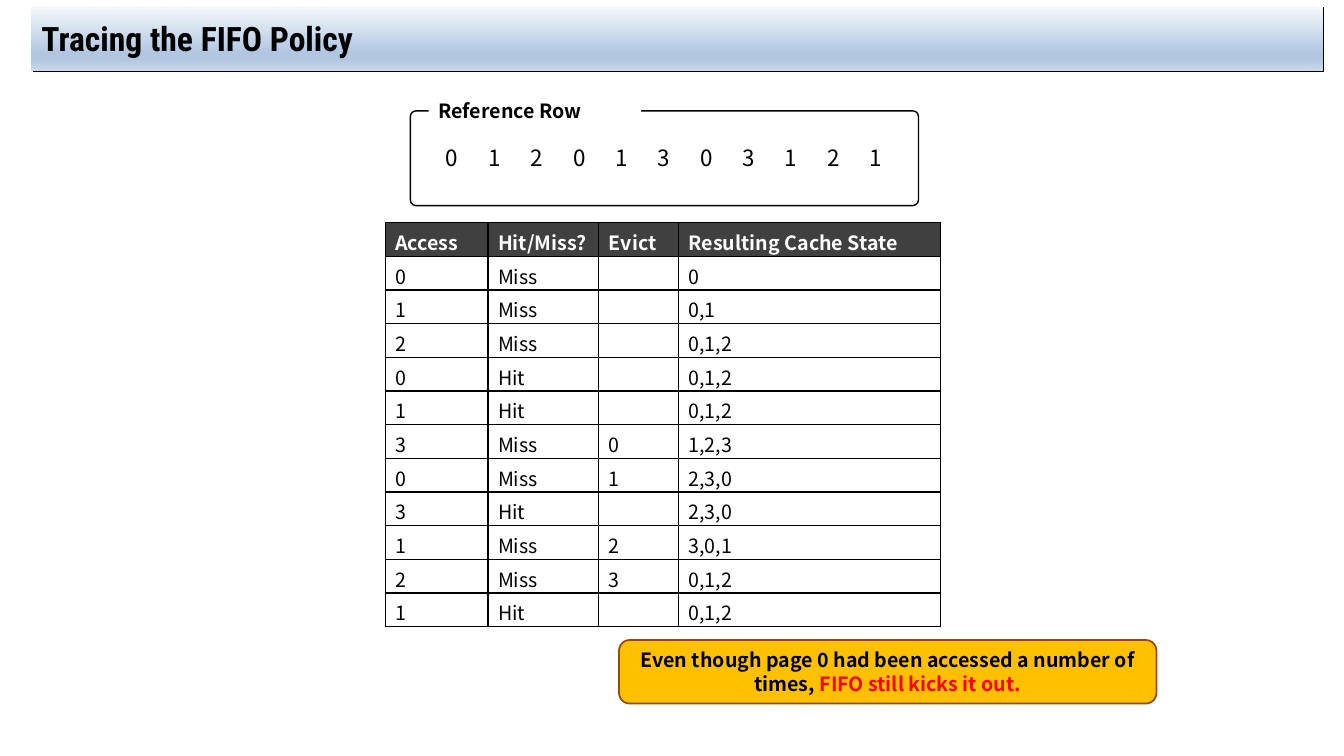
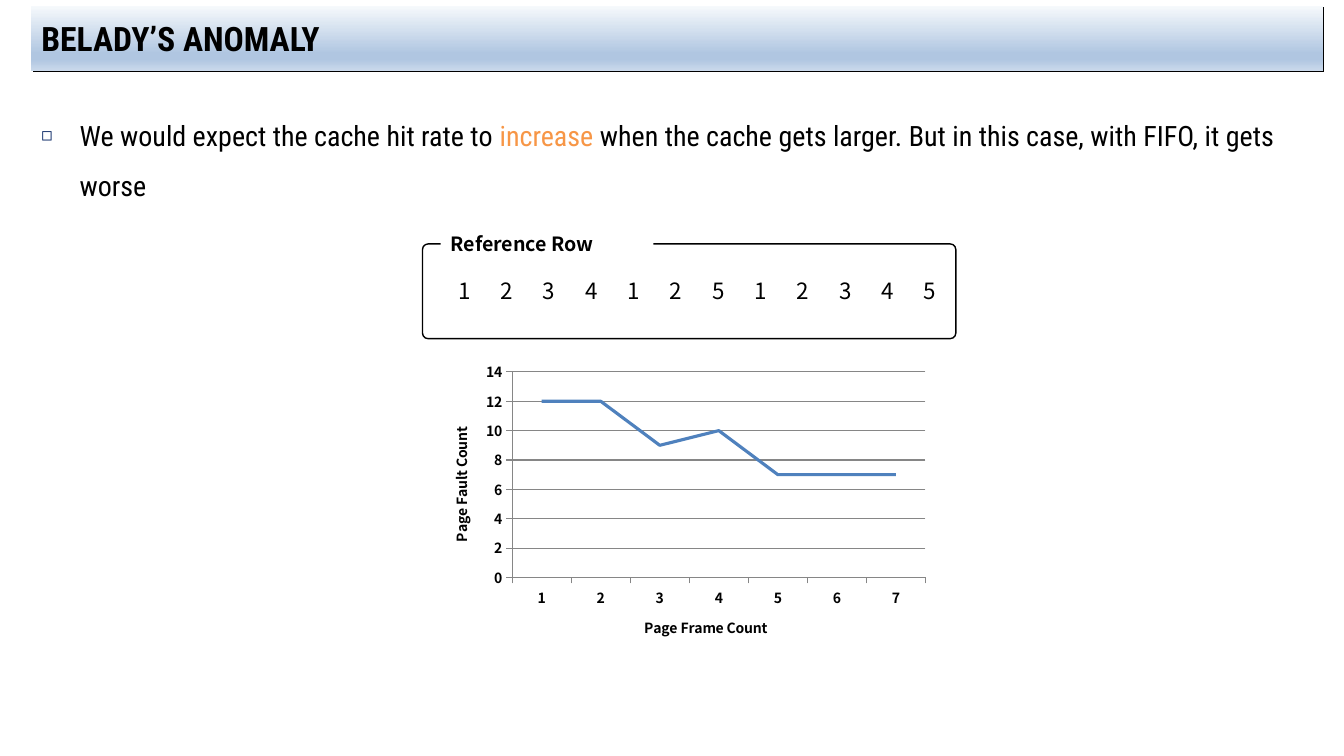
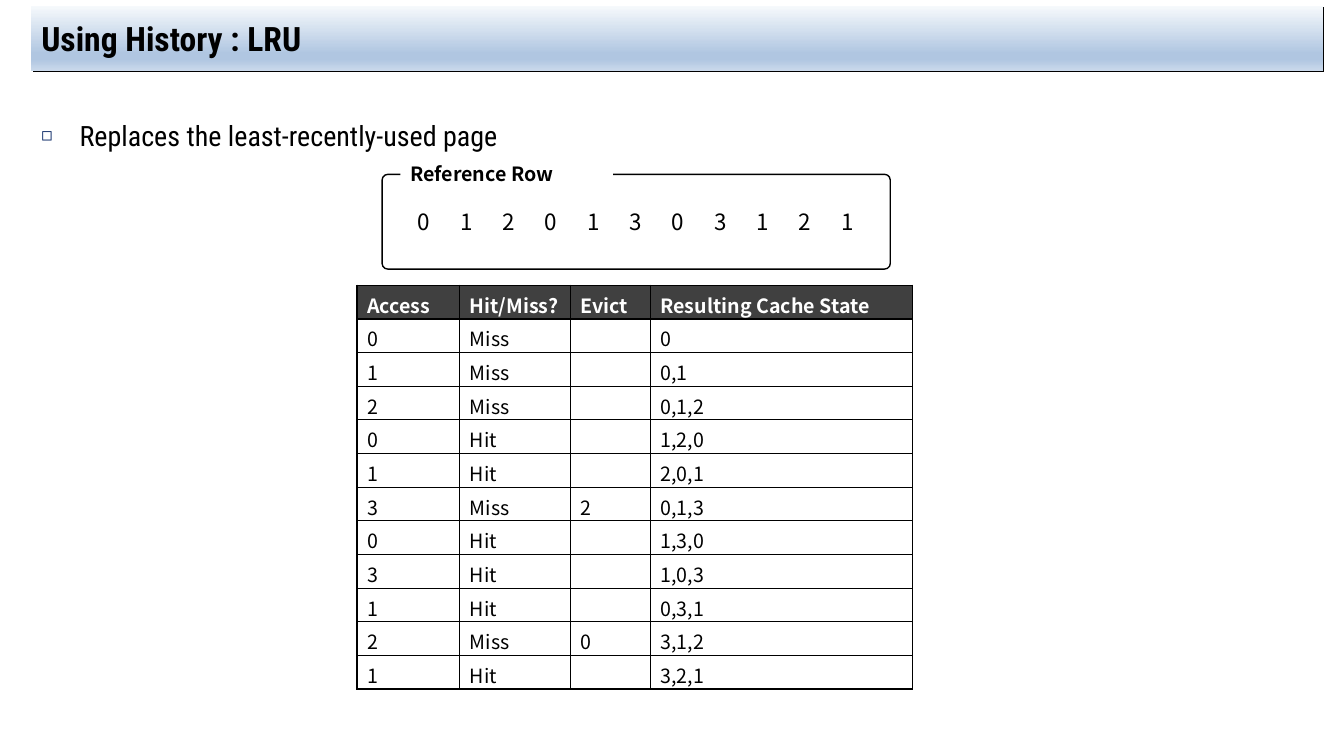
from pptx import Presentation
from pptx import oxml, util as u
from pptx.chart import data
from pptx.dml import color
from pptx.enum import chart as c, shapes as s, text as t
from pptx.oxml import ns

# Scale: 100 px to the inch
PX = 9144
TITLE_FONT, CONTENT_FONT = "Roboto Condensed", "Noto Sans CJK KR"

BLACK = color.RGBColor(0x00, 0x00, 0x00)
WHITE = color.RGBColor(0xFF, 0xFF, 0xFF)
RED = color.RGBColor(0xFF, 0x00, 0x00)
ORANGE = color.RGBColor(0xF7, 0x96, 0x46)
AMBER = color.RGBColor(0xFF, 0xC0, 0x00)
BROWN = color.RGBColor(0x98, 0x48, 0x07)
NAVY = color.RGBColor(0x00, 0x20, 0x60)
BLUE = color.RGBColor(0x4F, 0x81, 0xBD)
GREY = color.RGBColor(0x86, 0x86, 0x86)
HEADER_GREY = color.RGBColor(0x40, 0x40, 0x40)
BAND_TOP = color.RGBColor(0xF6, 0xF9, 0xFC)
BAND_MIDDLE = color.RGBColor(0xB0, 0xC6, 0xE1)
BAND_BOTTOM = color.RGBColor(0xCA, 0xD9, 0xEB)
BAND_STOPS = [(0, BAND_TOP), (74, BAND_MIDDLE), (83, BAND_MIDDLE), (100, BAND_BOTTOM)]

# Slide content
HEADERS = ["Access", "Hit/Miss?", "Evict", "Resulting Cache State"]
COLUMN_WIDTHS = [102, 110, 79, 260]
ROW_HEIGHT = 33
ACCESSES = "01201303121"
FIFO_ROWS = [
    ("Miss", "", "0"), ("Miss", "", "0,1"), ("Miss", "", "0,1,2"),
    ("Hit", "", "0,1,2"), ("Hit", "", "0,1,2"), ("Miss", "0", "1,2,3"),
    ("Miss", "1", "2,3,0"), ("Hit", "", "2,3,0"), ("Miss", "2", "3,0,1"),
    ("Miss", "3", "0,1,2"), ("Hit", "", "0,1,2"),
]
LRU_ROWS = [
    ("Miss", "", "0"), ("Miss", "", "0,1"), ("Miss", "", "0,1,2"),
    ("Hit", "", "1,2,0"), ("Hit", "", "2,0,1"), ("Miss", "2", "0,1,3"),
    ("Hit", "", "1,3,0"), ("Hit", "", "1,0,3"), ("Hit", "", "0,3,1"),
    ("Miss", "0", "3,1,2"), ("Hit", "", "3,2,1"),
]
FAULT_COUNTS = [12, 12, 9, 10, 7, 7, 7]


def px(*lengths):
    return [u.Emu(length * PX) for length in lengths]


def xml(body):
    """Parse one DrawingML or chart element."""
    tag, rest = body.split(" ", 1)
    return oxml.parse_xml(f"{tag} {ns.nsdecls('a', 'c')} {rest}")


def write(paragraph, segments, size, font=CONTENT_FONT, bold=False):
    """Fill a paragraph with (text, colour) segments."""
    for words, colour in segments:
        run = paragraph.add_run()
        run.text = words
        run.font.size = u.Pt(size)
        run.font.name = font
        run.font.bold = bold
        run.font.color.rgb = colour


def place(shape, left, top, width, height):
    shape.left, shape.top, shape.width, shape.height = px(left, top, width, height)


def set_frame(frame, anchor, side=10):
    frame.word_wrap = True
    frame.auto_size = t.MSO_AUTO_SIZE.NONE
    frame.vertical_anchor = anchor
    frame.margin_left, frame.margin_right = px(side, side)
    frame.margin_top, frame.margin_bottom = px(5, 5)


def add_box(parent, kind, box, fill, line=None, line_width=1):
    shape = parent.add_shape(kind, *px(*box))
    shape.shadow.inherit = False
    shape.fill.solid()
    shape.fill.fore_color.rgb = fill
    if line is None:
        shape.line.fill.background()
    else:
        shape.line.color.rgb = line
        shape.line.width = u.Pt(line_width)
    return shape


# Title band shared by all slides
def add_slide(presentation, title, layout=5):
    slide = presentation.slides.add_slide(presentation.slide_layouts[layout])
    band = slide.shapes.title
    place(band, 31, 6, 1281, 64)
    stops = "".join(f'<a:gs pos="{position * 1000}"><a:srgbClr val="{colour}"/></a:gs>'
                    for position, colour in BAND_STOPS)
    properties = band._element.spPr
    properties.append(xml(f'<a:gradFill rotWithShape="1"><a:gsLst>{stops}</a:gsLst>'
                          '<a:lin ang="5400000" scaled="0"/></a:gradFill>'))
    properties.append(xml('<a:effectLst ><a:outerShdw dist="17961" dir="2700000" '
                          'algn="ctr" rotWithShape="0">'
                          f'<a:srgbClr val="{BLACK}"/></a:outerShdw></a:effectLst>'))
    set_frame(band.text_frame, t.MSO_ANCHOR.MIDDLE)
    paragraph = band.text_frame.paragraphs[0]
    paragraph.alignment = t.PP_ALIGN.LEFT
    write(paragraph, [(title, BLACK)], 24, TITLE_FONT, True)
    return slide


# Bulleted body text
def fill_body(slide, segments):
    body = slide.placeholders[1]
    place(body, 31, 96, 1281, 602)
    set_frame(body.text_frame, t.MSO_ANCHOR.TOP)
    paragraph = body.text_frame.paragraphs[0]
    paragraph.line_spacing = 1.5
    properties = paragraph._p.get_or_add_pPr()
    properties.set("marL", str(38 * PX))
    properties.set("indent", str(-38 * PX))
    for bullet in (f'<a:buClr ><a:srgbClr val="{NAVY}"/></a:buClr>',
                   '<a:buSzPct val="65000"/>', '<a:buChar char="◻"/>'):
        properties.append(xml(bullet))
    write(paragraph, segments, 20, TITLE_FONT)


# Framed row of page references
def add_reference_row(slide, left, top, pages, width=504):
    group = slide.shapes.add_group_shape().shapes
    frame = add_box(group, s.MSO_SHAPE.ROUNDED_RECTANGLE,
                    (left, top, width, 94), WHITE, BLACK)
    frame.adjustments[0] = 0.06
    label = add_box(group, s.MSO_SHAPE.RECTANGLE, (left + 18, top - 17, 211, 34), WHITE)
    set_frame(label.text_frame, t.MSO_ANCHOR.TOP)
    heading = label.text_frame.paragraphs[0]
    heading.alignment = t.PP_ALIGN.LEFT
    write(heading, [("Reference Row", BLACK)], 14, bold=True)
    for index, page in enumerate(pages):
        box = group.add_textbox(*px(left + 18 + 42 * index, top + 28, 47, 37))
        set_frame(box.text_frame, t.MSO_ANCHOR.MIDDLE, 0)
        paragraph = box.text_frame.paragraphs[0]
        paragraph.alignment = t.PP_ALIGN.CENTER
        write(paragraph, [(page, BLACK)], 16)


# Cache trace table
def format_cell(cell, words, is_header):
    cell.margin_top, cell.margin_bottom = px(5, 0)
    paragraph = cell.text_frame.paragraphs[0]
    if words:
        write(paragraph, [(words, WHITE if is_header else BLACK)], 14, bold=is_header)
    else:
        paragraph._p.append(xml('<a:endParaRPr sz="1400">'
                                f'<a:latin typeface="{CONTENT_FONT}"/></a:endParaRPr>'))
    properties = cell._tc.get_or_add_tcPr()
    for side in "LRTB":
        properties.append(xml(f'<a:ln{side} w="12700"><a:solidFill>'
                              f'<a:srgbClr val="{BLACK}"/></a:solidFill></a:ln{side}>'))
    cell.fill.solid()
    cell.fill.fore_color.rgb = HEADER_GREY if is_header else WHITE


def add_trace_table(slide, left, top, results):
    rows = [HEADERS] + [(page, *result) for page, result in zip(ACCESSES, results)]
    size = sum(COLUMN_WIDTHS), ROW_HEIGHT * len(rows)
    table = slide.shapes.add_table(len(rows), len(HEADERS), *px(left, top, *size)).table
    table.horz_banding = False
    for column, width in zip(table.columns, px(*COLUMN_WIDTHS)):
        column.width = width
    for row_index, row in enumerate(rows):
        for column_index, words in enumerate(row):
            format_cell(table.cell(row_index, column_index), words, row_index == 0)


# Highlighted remark
def add_callout(slide, box, segments):
    callout = add_box(slide.shapes, s.MSO_SHAPE.ROUNDED_RECTANGLE, box, AMBER, BROWN, 1.25)
    set_frame(callout.text_frame, t.MSO_ANCHOR.MIDDLE, 12)
    paragraph = callout.text_frame.paragraphs[0]
    paragraph.alignment = t.PP_ALIGN.CENTER
    write(paragraph, segments, 14, bold=True)


# Page fault line chart
def format_axis(axis, title):
    axis.has_title = True
    write(axis.axis_title.text_frame.paragraphs[0], [(title, BLACK)], 10, bold=True)
    axis.major_tick_mark = c.XL_TICK_MARK.OUTSIDE
    axis.minor_tick_mark = c.XL_TICK_MARK.NONE
    axis.format.line.color.rgb = GREY
    axis.format.line.width = u.Pt(0.75)


def add_fault_chart(slide, box):
    chart_data = data.CategoryChartData()
    chart_data.categories = [str(n) for n in range(1, len(FAULT_COUNTS) + 1)]
    chart_data.add_series("Series 1", FAULT_COUNTS)
    chart = slide.shapes.add_chart(c.XL_CHART_TYPE.LINE, *px(*box), chart_data).chart
    chart.has_legend = False
    chart.has_title = False
    chart.font.size = u.Pt(10)
    chart.font.name = CONTENT_FONT
    chart.font.bold = True
    chart.font.color.rgb = BLACK

    plot = chart.plots[0]
    plot.vary_by_categories = False
    line = plot.series[0]
    line.smooth = False
    line.marker.style = c.XL_MARKER_STYLE.NONE
    line.format.line.color.rgb = BLUE
    line.format.line.width = u.Pt(2.25)

    format_axis(chart.category_axis, "Page Frame Count")
    values = chart.value_axis
    format_axis(values, "Page Fault Count")
    values.minimum_scale, values.maximum_scale, values.major_unit = 0, 14, 2
    values.has_major_gridlines = True
    values.major_gridlines.format.line.color.rgb = GREY
    values.major_gridlines.format.line.width = u.Pt(0.75)
    values.axis_title._element.find(".//" + ns.qn("a:bodyPr")).set("rot", "-5400000")

    # Fixed inner plot area
    plot_area = chart._chartSpace.chart.plotArea
    for layout in plot_area.findall(ns.qn("c:layout")):
        plot_area.remove(layout)
    fractions = "".join(f'<c:{name} val="{value}"/>' for name, value in
                        (("x", 0.16), ("y", 0.06), ("w", 0.82), ("h", 0.68)))
    plot_area.insert(0, xml('<c:layout ><c:manualLayout><c:layoutTarget val="inner"/>'
                            '<c:xMode val="edge"/><c:yMode val="edge"/>'
                            f'{fractions}</c:manualLayout></c:layout>'))


def main():
    presentation = Presentation()
    presentation.slide_width, presentation.slide_height = px(1333, 750)

    fifo = add_slide(presentation, "Tracing the FIFO Policy")
    add_reference_row(fifo, 407, 110, ACCESSES)
    add_trace_table(fifo, 382, 221, FIFO_ROWS)
    add_callout(fifo, (614, 635, 533, 63), [
        ("Even though page 0 had been accessed a number of times, ", BLACK),
        ("FIFO still kicks it out.", RED)])

    belady = add_slide(presentation, "BELADY’S ANOMALY", layout=1)
    fill_body(belady, [
        ("We would expect the cache hit rate to ", BLACK), ("increase", ORANGE),
        (" when the cache gets larger. But in this case, with FIFO, it gets worse", BLACK)])
    add_fault_chart(belady, (428, 351, 500, 300))
    add_reference_row(belady, 419, 242, "123412512345", width=529)

    lru = add_slide(presentation, "Using History : LRU", layout=1)
    fill_body(lru, [("Replaces the least-recently-used page", BLACK)])
    add_reference_row(lru, 379, 173, ACCESSES)
    add_trace_table(lru, 354, 283, LRU_ROWS)

    presentation.save("out.pptx")


if __name__ == "__main__":
    main()
